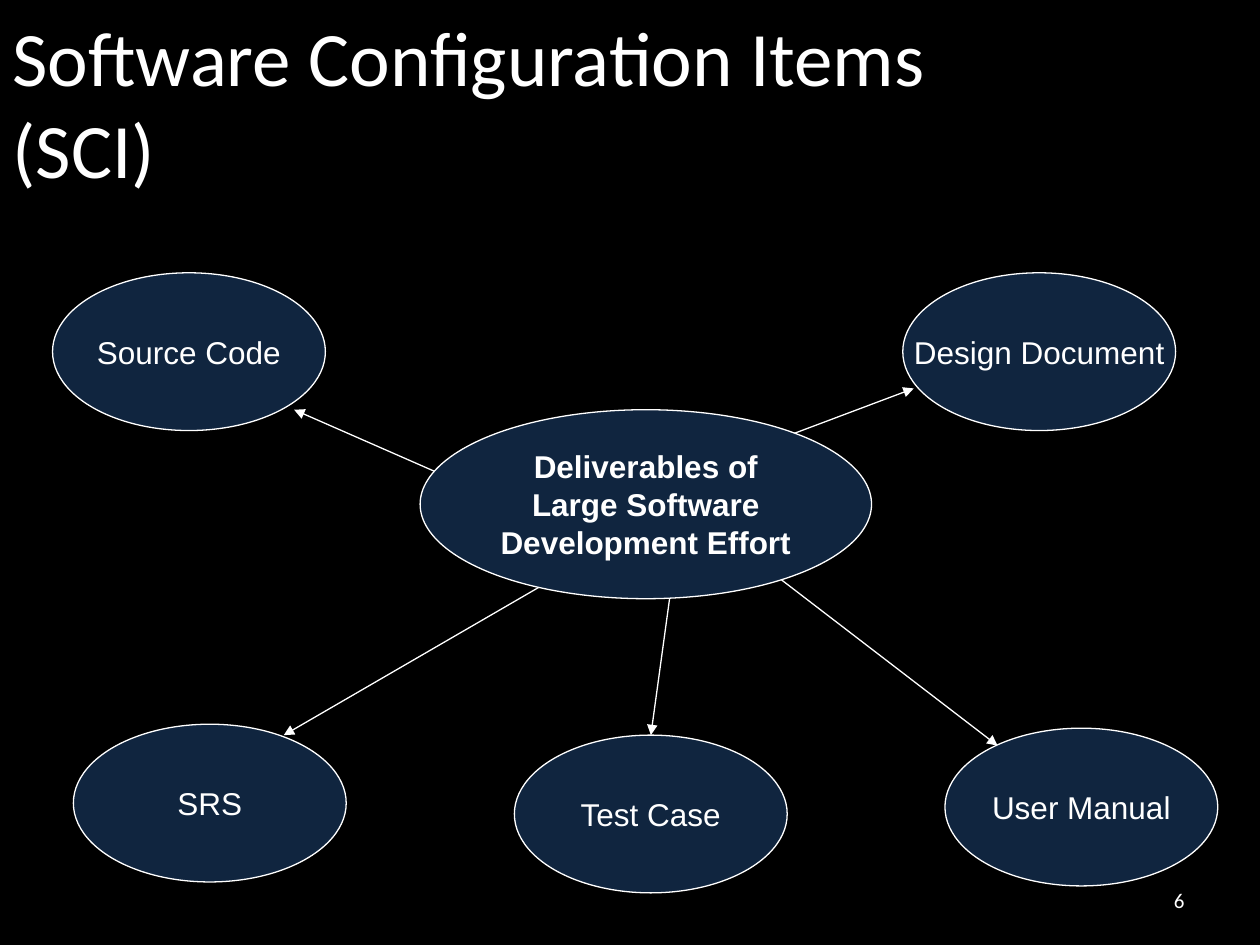
from typing import NamedTuple

from lxml import etree
from pptx import Presentation
from pptx import util as u
from pptx.dml.color import RGBColor
from pptx.enum import shapes, text
from pptx.oxml import ns

COLORS = {"background": "000000", "bubble": "10253F", "ink": "FFFFFF"}
LINE_WIDTH = u.Pt(0.75)
ITEM_SIZE = (5.5, 3.18)
HUB_SIZE = (9.1, 3.81)
HUB_MIDDLE = (13.76, 10.16)


class Bubble(NamedTuple):
    label: str
    left: float
    top: float
    size: tuple[float, float] = ITEM_SIZE
    bold: bool = False
    wrap: bool = False


class Arrow(NamedTuple):
    start: tuple[float, float]
    end: tuple[float, float]


ITEMS = [
    Bubble("Source Code", 1.06, 5.5),
    Bubble("Design Document", 18.2, 5.5),
    Bubble("User Manual", 19.05, 14.68),
    Bubble("Test Case", 10.37, 14.82),
    Bubble("SRS", 1.48, 14.6),
]
HUB = Bubble("Deliverables of Large Software Development Effort",
             8.47, 8.26, HUB_SIZE, bold=True, wrap=True)
ARROWS = [
    Arrow((13.34, 9.74), (18.42, 7.83)),
    Arrow(HUB_MIDDLE, (20.11, 15.03)),
    Arrow((11.22, 10.58), (5.93, 8.26)),
    Arrow(HUB_MIDDLE, (5.72, 14.82)),
    Arrow(HUB_MIDDLE, (13.12, 14.82)),
]


def color(name: str) -> RGBColor:
    return RGBColor.from_string(COLORS[name])


def write(frame, content: str, *, size: float, font: str = "Arial",
          align=text.PP_ALIGN.CENTER, bold: bool = False, wrap: bool = True) -> None:
    frame.word_wrap = wrap
    frame.auto_size = text.MSO_AUTO_SIZE.NONE
    frame.vertical_anchor = text.MSO_ANCHOR.MIDDLE
    paragraph = frame.paragraphs[0]
    paragraph.alignment = align
    run = paragraph.add_run()
    run.text = content
    run.font.name = font
    run.font.size = u.Pt(size)
    run.font.bold = bold
    run.font.color.rgb = color("ink")


def draw_bubble(slide, bubble: Bubble) -> None:
    oval = slide.shapes.add_shape(
        shapes.MSO_SHAPE.OVAL,
        *map(u.Cm, (bubble.left, bubble.top, *bubble.size)))
    oval.shadow.inherit = False
    oval.fill.solid()
    oval.fill.fore_color.rgb = color("bubble")
    oval.line.color.rgb = color("ink")
    oval.line.width = LINE_WIDTH
    write(oval.text_frame, bubble.label, size=18, bold=bubble.bold, wrap=bubble.wrap)


def draw_arrow(slide, arrow: Arrow) -> None:
    connector = slide.shapes.add_connector(
        shapes.MSO_CONNECTOR.STRAIGHT, *map(u.Cm, (*arrow.start, *arrow.end)))
    connector.line.color.rgb = color("ink")
    connector.line.width = LINE_WIDTH
    outline = connector.line._get_or_add_ln()
    etree.SubElement(outline, ns.qn("a:tailEnd"), type="triangle")
    etree.SubElement(connector._element.spPr, ns.qn("a:effectLst"))


def main() -> None:
    deck = Presentation()
    deck.slide_width, deck.slide_height = u.Cm(25.4), u.Cm(19.05)
    slide = deck.slides.add_slide(deck.slide_layouts[5])
    slide.background.fill.solid()
    slide.background.fill.fore_color.rgb = color("background")

    title = slide.shapes.title
    title.left, title.top, title.width, title.height = map(u.Cm, (0, 0, 21.59, 4.09))
    write(title.text_frame, "Software Configuration Items (SCI)",
          size=44, font="Calibri", align=text.PP_ALIGN.LEFT)

    for arrow in ARROWS:
        draw_arrow(slide, arrow)
    for bubble in [*ITEMS, HUB]:
        draw_bubble(slide, bubble)

    page_number = slide.shapes.add_textbox(*map(u.Cm, (18.2, 17.65, 5.93, 1.01)))
    write(page_number.text_frame, "6", size=12, font="Calibri",
          align=text.PP_ALIGN.RIGHT)

    deck.save("out.pptx")


if __name__ == "__main__":
    main()
